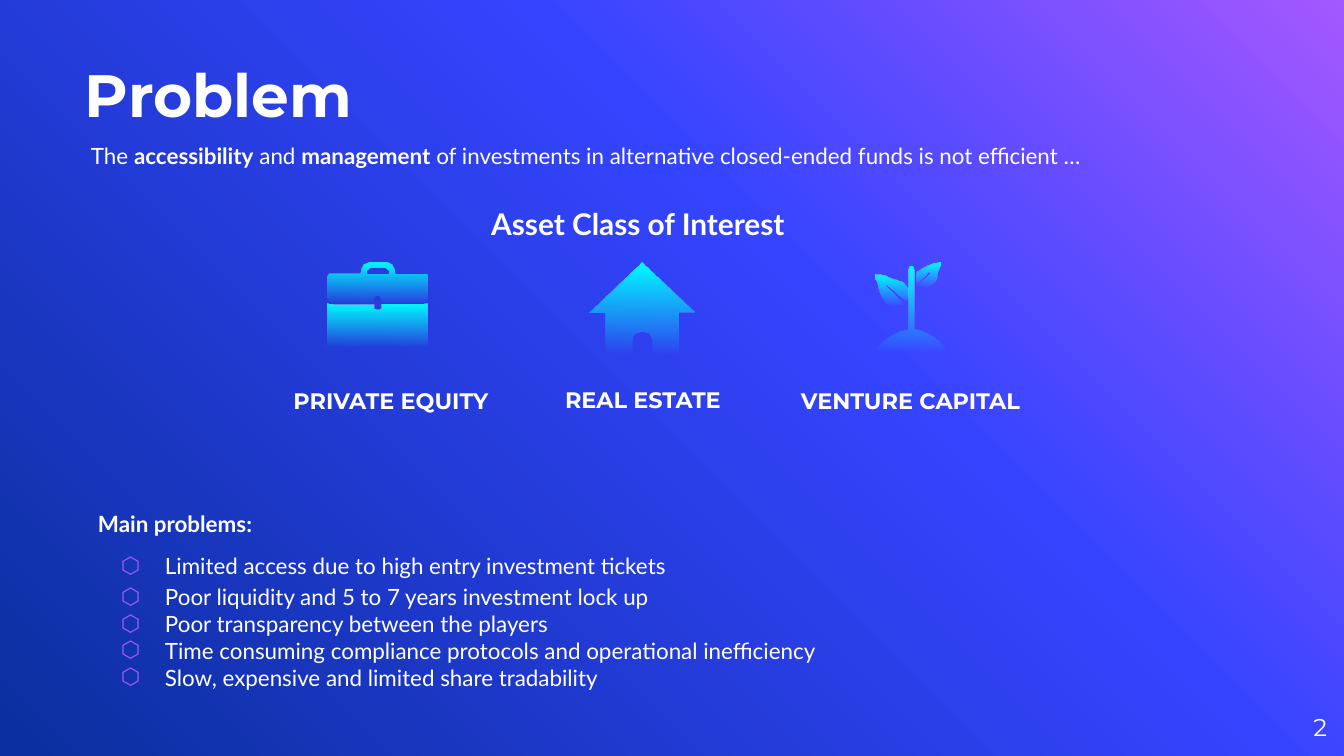
from copy import deepcopy
from lxml.etree import SubElement as Sub
from pptx import Presentation
from pptx.dml.color import RGBColor as RGB
from pptx.enum.text import MSO_ANCHOR as Anchor, MSO_AUTO_SIZE as Fit, PP_ALIGN as Align
from pptx.oxml.ns import qn
from pptx.util import Pt

SCALE = 914400 / 134.4
COLORS = {"text": "FFFFFF", "mark": "A458FF", "mid": "3544FF", "deep": "0A2F9E", "icon": "00FFFF"}

TITLE = {"name": "Montserrat", "size": Pt(32), "bold": True}
LABEL = {"name": "Montserrat", "size": Pt(12), "bold": True}
PAGE = {"name": "Montserrat", "size": Pt(13), "bold": False}
HEAD = {"name": "Lato", "size": Pt(16), "bold": True}
BODY = {"name": "Lato", "size": Pt(12), "bold": False}
STRONG = {**BODY, "bold": True}

LEFT = {"alignment": Align.LEFT, "space_before": Pt(0)}
CENTER = {"alignment": Align.CENTER}
RIGHT = {"alignment": Align.RIGHT}
TALL = {"line_spacing": 1.15}

LABELS = [
    ("PRIVATE EQUITY", (274, 367, 234, 67)),
    ("REAL ESTATE", (544, 366, 198, 67)),
    ("VENTURE CAPITAL", (781, 367, 259, 67)),
]
ITEMS = [
    ("Limited access due to high entry investment tickets", {**TALL, "space_before": Pt(6)}),
    ("Poor liquidity and 5 to 7 years investment lock up", TALL),
    ("Poor transparency between the players", {}),
    ("Time consuming compliance protocols and operational inefficiency", {}),
    ("Slow, expensive and limited share tradability", {}),
]

ROOF = [(642, 263), (590, 313), (606, 313), (606, 350), (607, 352), (611, 354),
        (632, 354), (632, 340), (633, 336), (636, 333), (640, 332)]
FLAP = [(369, 263), (364, 265), (362, 269), (361, 274), (330, 274), (328, 277),
        (328, 298), (330, 301), (335, 303), (374, 303), (374, 298), (376, 296)]
GRIP = [(367, 274), (367, 271), (370, 269)]
CASE = [(331, 347), (328, 344), (328, 304), (333, 305), (374, 305), (374, 309), (376, 310)]
STEM = [(910, 267), (908, 270), (908, 329), (901, 331), (892, 335), (884, 341),
        (877, 349), (884, 352), (898, 353)]
LEAF_R = [(938, 263), (933, 264), (927, 266), (922, 269), (918, 272), (917, 275),
          (917, 280), (918, 284), (929, 272), (930, 273), (930, 274), (919, 285),
          (923, 286), (927, 287), (931, 285), (934, 282), (936, 280), (937, 273),
          (938, 269), (940, 265), (940, 263)]
LEAF_L = [(876, 275), (876, 279), (878, 282), (879, 288), (880, 292), (882, 296),
          (884, 300), (886, 303), (890, 305), (894, 306), (898, 306), (903, 304),
          (886, 286), (886, 285), (887, 285), (905, 301), (907, 297), (908, 292),
          (907, 289), (905, 286), (902, 283), (898, 281), (892, 279), (884, 276)]


def px(n):
    return round(n * SCALE)


def tint(name):
    return RGB.from_string(COLORS[name])


def apply(item, form):
    for key, value in form.items():
        setattr(item, key, value)


def place(shape, box, pad=13, anchor=Anchor.MIDDLE, fit=Fit.NONE):
    apply(shape, dict(zip(("left", "top", "width", "height"), map(px, box))))
    frame = shape.text_frame
    sides = ("margin_left", "margin_top", "margin_right", "margin_bottom")
    apply(frame, dict.fromkeys(sides, px(pad)))
    apply(frame, {"word_wrap": True, "auto_size": fit, "vertical_anchor": anchor})
    return frame


def write(para, runs, form):
    apply(para, form)
    for text, font in runs:
        run = para.add_run()
        run.text = text
        apply(run.font, font)
        run.font.color.rgb = tint("text")


def add_text(slide, box, runs, form, **opts):
    shape = slide.shapes.add_textbox(0, 0, 0, 0)
    write(place(shape, box, **opts).paragraphs[0], runs, form)


def bullet(para, mark):
    props = para._p.get_or_add_pPr()
    props.set("marL", str(px(67 if mark else 0)))
    props.set("indent", str(px(-44 if mark else 0)))
    if mark:
        color = Sub(props, qn("a:buClr"))
        Sub(color, qn("a:srgbClr"), val=COLORS["mark"])
        Sub(props, qn("a:buChar"), char=mark)
    else:
        Sub(props, qn("a:buNone"))


def add_list(shape):
    frame = place(shape, (85, 493, 935, 214), anchor=Anchor.TOP, fit=Fit.SHAPE_TO_FIT_TEXT)
    para = frame.paragraphs[0]
    bullet(para, None)
    write(para, [("Main problems:", STRONG)], {**LEFT, **TALL})
    for text, form in ITEMS:
        para = frame.add_paragraph()
        bullet(para, "⬡")
        write(para, [(text, BODY)], {**LEFT, **form})


def paint(slide):
    fill = slide.background.fill
    fill.gradient()
    fill.gradient_angle = 225
    stops = fill._fill._gradFill.gsLst
    stops.insert(1, deepcopy(stops[0]))
    for stop, name, spot in zip(fill.gradient_stops, ("mark", "mid", "deep"), (0, 0.39, 1)):
        stop.color.rgb = tint(name)
        stop.position = spot


def mirror(half, axis):
    return half + [(2 * axis - x, y) for x, y in reversed(half)]


def draw(group, *paths):
    first, *rest = paths
    pen = group.shapes.build_freeform(*first[0], scale=SCALE)
    pen.add_line_segments(first[1:], close=True)
    for points in rest:
        pen.move_to(*points[0])
        pen.add_line_segments(points[1:], close=True)
    shape = pen.convert_to_shape()
    shape.shadow.inherit = False
    shape.line.fill.background()
    shape.fill.gradient()
    shape.fill.gradient_angle = 270
    for stop in shape.fill.gradient_stops:
        stop.color.rgb = tint("icon")
    last = shape.fill._fill._gradFill.gsLst[-1]
    Sub(last[0], qn("a:alpha"), val="0")


def add_icon(slide, *forms):
    group = slide.shapes.add_group_shape()
    for paths in forms:
        draw(group, *paths)


def main():
    deck = Presentation()
    deck.slide_width, deck.slide_height = px(1344), px(756)
    slide = deck.slides.add_slide(deck.slide_layouts[1])
    paint(slide)
    title, body = slide.placeholders
    write(place(title, (85, 31, 884, 126), pad=0).paragraphs[0], [("Problem", TITLE)], LEFT)
    add_list(body)
    intro = [
        ("The ", BODY), ("accessibility", STRONG), (" and ", BODY), ("management", STRONG),
        (" of investments in alternative closed-ended funds is not efficient …", BODY),
    ]
    add_text(slide, (78, 129, 1148, 54), intro, LEFT, anchor=Anchor.TOP, fit=Fit.SHAPE_TO_FIT_TEXT)
    add_text(slide, (448, 172, 380, 98), [("Asset Class of Interest", HEAD)], {**CENTER, **TALL})
    add_icon(slide, [mirror(FLAP, 378), mirror(GRIP, 378)], [mirror(CASE, 378)])
    add_icon(slide, [mirror(ROOF, 642)])
    add_icon(slide, [LEAF_R], [mirror(STEM, 911)], [LEAF_L])
    for text, box in LABELS:
        add_text(slide, box, [(text, LABEL)], CENTER)
    add_text(slide, (1246, 698, 81, 58), [("2", PAGE)], RIGHT, pad=0)
    deck.save("out.pptx")


if __name__ == "__main__":
    main()
